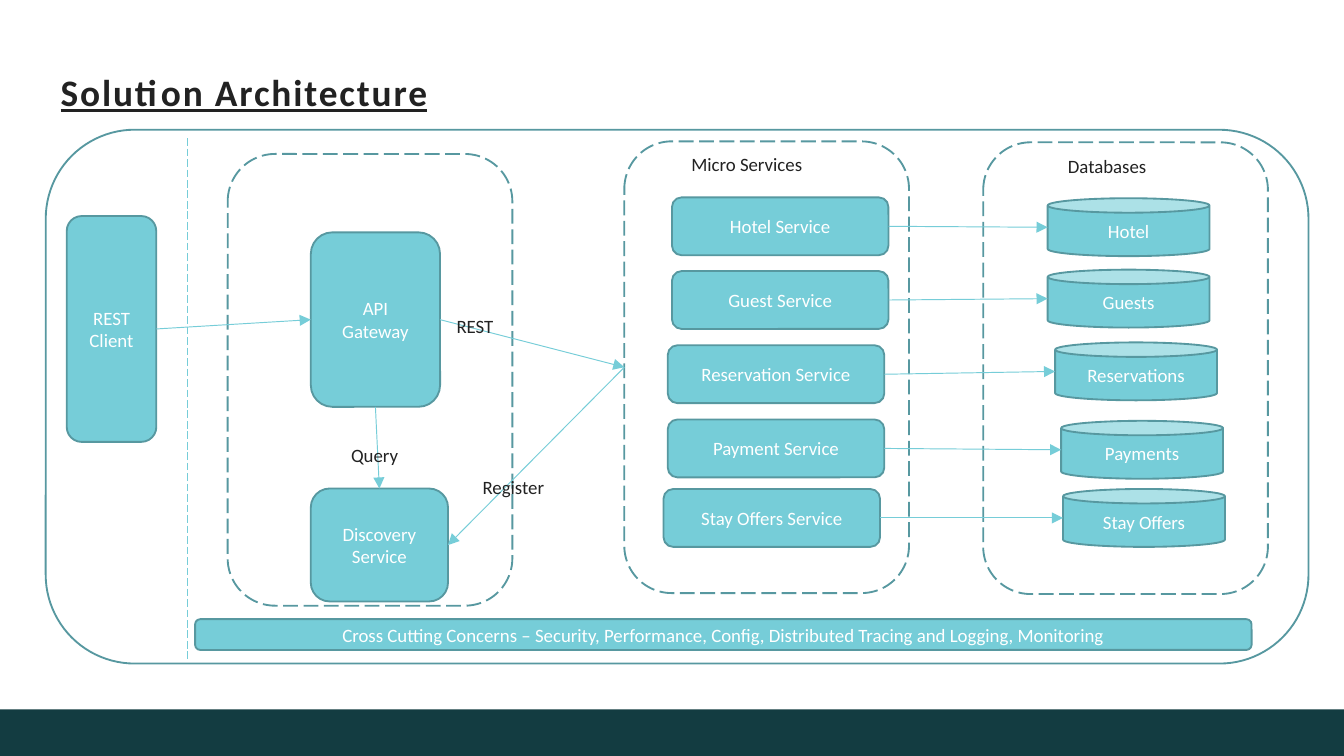
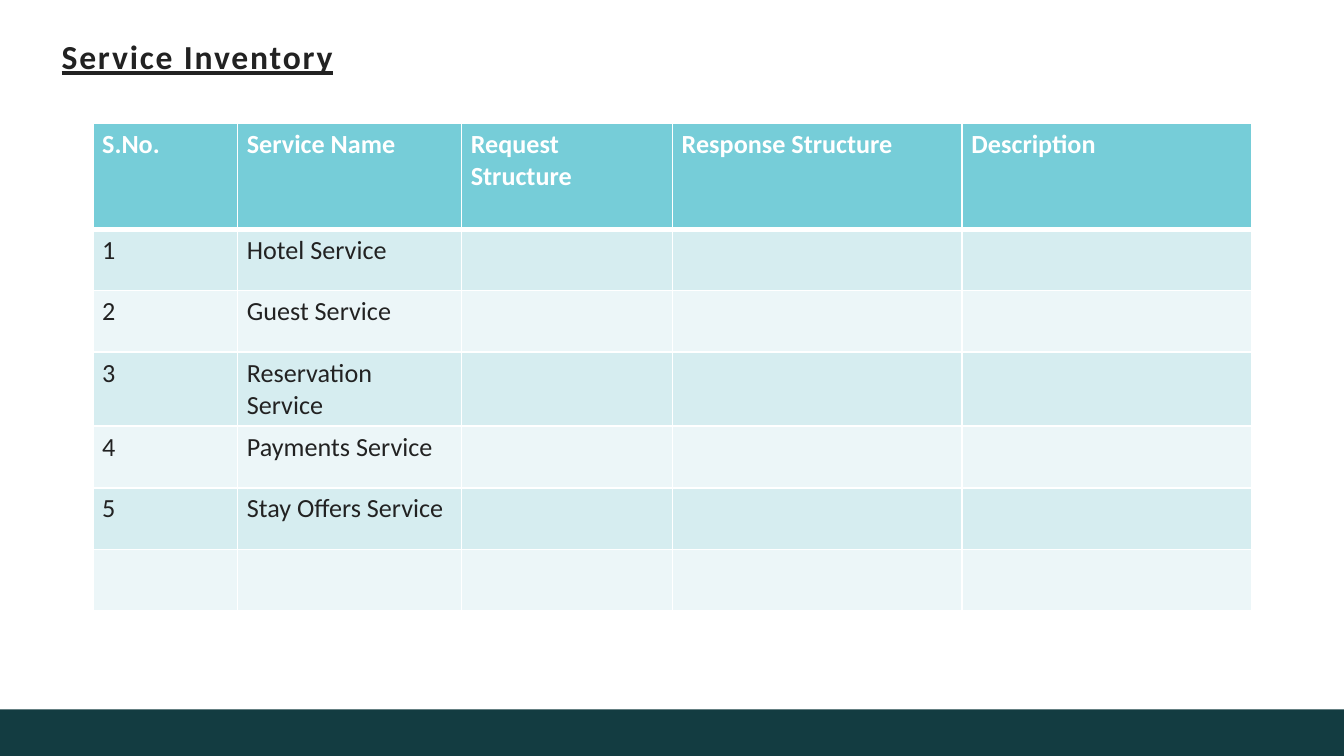
"""Build two slides on a hotel booking system: its architecture and its services."""
from lxml import etree
from pptx import Presentation
from pptx.dml.color import RGBColor
from pptx.enum import dml, shapes, text
from pptx.oxml import ns
from pptx.util import Pt

FONT = "Calibri"
COLOURS = {
    "ink": "222222", "white": "FFFFFF", "teal": "76CDD8", "edge": "5798A0",
    "band": "133C41", "odd": "D6EDF0", "even": "ECF6F8",
}
SLIDE_SIZE = (720, 405)
BAND = (0, 380, 720, 25)
DIAGRAM_SIZE = 10.1

ARCHITECTURE = ("Solution Architecture", 20, (27.5, 10, 620.5, 78.5))
SYSTEM = (24.5, 69.5, 676.5, 286)
FRAME_SIZE = (152.5, 242)
FRAMES = [(122, 82.5), (334.5, 75.75), (526.75, 76.25)]
NODES = {
    "REST Client": (35.75, 115.75, 48, 121),
    "API Gateway": (166.5, 124.5, 69.25, 93.5),
    "Discovery Service": (166.5, 261.75, 73.5, 60.5),
}
CONCERNS = ("Cross Cutting Concerns – Security, Performance, Config, "
            "Distributed Tracing and Logging, Monitoring")
CONCERNS_BOX = (104.5, 331.75, 566, 16.5)
SERVICE_SIZE = (116, 31)
DATABASE_SIZE = (86.75, 31)
SERVICES = [
    ("Hotel Service", (360, 105.75), "Hotel", (561.25, 106.25)),
    ("Guest Service", (360, 145.25), "Guests", (561.25, 144.5)),
    ("Reservation Service", (357.75, 185), "Reservations", (565.25, 183.5)),
    ("Payment Service", (357.75, 224.75), "Payments", (568.5, 225.5)),
    ("Stay Offers Service", (355.5, 262), "Stay Offers", (569.5, 262)),
]
DIVIDER = ((100.5, 74), (100.5, 353.5))
LABELS = [
    ("Register", (251.5, 251.5, 67, 19.5)),
    ("Query", (181, 234.25, 45.5, 19.5)),
    ("Micro Services", (363.25, 78.5, 101.5, 19.5)),
    ("Databases", (565, 79.5, 81.5, 19.5)),
    ("REST", (237.5, 165.25, 45.5, 19.5)),
]

INVENTORY = ("Service Inventory", 18, (28, 18, 664, 24))
TABLE_TOP_LEFT = (49.75, 66.25)
COLUMNS = [("S.No.", 77.5), ("Service Name", 120), ("Request Structure", 113),
           ("Response Structure", 155.25), ("Description", 155.25)]
INVENTORY_NAMES = ["Hotel Service", "Guest Service", "Reservation Service",
                   "Payments Service", "Stay Offers Service", ""]
HEADER_HEIGHT, ROW_HEIGHT, TABLE_TEXT = 56.5, 33, 14


def colour(name):
    return RGBColor.from_string(COLOURS[name])


def points(values):
    return [Pt(value) for value in values]


def write(frame, words, size, ink, bold=False, align=text.PP_ALIGN.LEFT):
    paragraph = frame.paragraphs[0]
    paragraph.alignment = align
    run = paragraph.add_run()
    run.text = words
    font = run.font
    font.name, font.size, font.bold = FONT, Pt(size), bold
    font.color.rgb = colour(ink)
    return run


def add_box(slide, preset, box, fill=None, edge=None, words="", dashed=False):
    part = slide.shapes.add_shape(preset, *points(box))
    part.shadow.inherit = False
    if fill:
        part.fill.solid()
        part.fill.fore_color.rgb = colour(fill)
    else:
        part.fill.background()
    if edge:
        part.line.color.rgb = colour(edge)
        part.line.width = Pt(1)
    else:
        part.line.fill.background()
    if dashed:
        part.line.dash_style = dml.MSO_LINE.LONG_DASH
    if words:
        part.text_frame.vertical_anchor = text.MSO_ANCHOR.MIDDLE
        write(part.text_frame, words, DIAGRAM_SIZE, "white", align=text.PP_ALIGN.CENTER)
    return part


def add_node(slide, words, box, preset=shapes.MSO_SHAPE.ROUNDED_RECTANGLE):
    return add_box(slide, preset, box, "teal", "edge", words)


def add_label(slide, words, box):
    label = slide.shapes.add_textbox(*points(box)).text_frame
    label.word_wrap = True
    label.auto_size = text.MSO_AUTO_SIZE.SHAPE_TO_FIT_TEXT
    write(label, words, DIAGRAM_SIZE, "ink")


def add_line(slide, start, end):
    line = slide.shapes.add_connector(shapes.MSO_CONNECTOR.STRAIGHT, *start, *end)
    line.line.color.rgb = colour("teal")
    line.line.width = Pt(0.5)
    etree.SubElement(line.element.spPr, ns.qn("a:effectLst"))
    return line


def side(part, name):
    across, down = {"left": (0, 0.5), "right": (1, 0.5),
                    "top": (0.5, 0), "bottom": (0.5, 1)}[name]
    return int(part.left + part.width * across), int(part.top + part.height * down)


def add_arrow(slide, source, source_side, target, target_side):
    arrow = add_line(slide, side(source, source_side), side(target, target_side))
    etree.SubElement(arrow.get_or_add_ln(), ns.qn("a:tailEnd"), type="triangle")


def add_slide(deck, words, size, box):
    slide = deck.slides.add_slide(deck.slide_layouts[5])
    add_box(slide, shapes.MSO_SHAPE.RECTANGLE, BAND, "band")
    title = slide.shapes.title
    title.left, title.top, title.width, title.height = points(box)
    frame = title.text_frame
    frame.margin_left = frame.margin_right = Pt(5)
    frame.margin_top = frame.margin_bottom = Pt(2.75)
    frame.vertical_anchor = text.MSO_ANCHOR.MIDDLE
    frame.word_wrap = True
    run = write(frame, words, size, "ink", bold=True)
    run.font.underline = True
    run.font._element.set("spc", "100")
    return slide


def build_architecture(deck):
    slide = add_slide(deck, *ARCHITECTURE)
    rounded = shapes.MSO_SHAPE.ROUNDED_RECTANGLE
    add_box(slide, rounded, SYSTEM, edge="edge")
    _, services_frame, _ = [
        add_box(slide, rounded, corner + FRAME_SIZE, edge="edge", dashed=True)
        for corner in FRAMES]
    client, gateway, discovery = [
        add_node(slide, words, box) for words, box in NODES.items()]
    add_node(slide, CONCERNS, CONCERNS_BOX)
    for service, service_at, database, database_at in SERVICES:
        source = add_node(slide, service, service_at + SERVICE_SIZE)
        store = add_node(slide, database, database_at + DATABASE_SIZE, shapes.MSO_SHAPE.CAN)
        add_arrow(slide, source, "right", store, "left")
    add_arrow(slide, client, "right", gateway, "left")
    add_arrow(slide, gateway, "right", services_frame, "left")
    add_arrow(slide, services_frame, "left", discovery, "right")
    add_arrow(slide, gateway, "bottom", discovery, "top")
    divider = add_line(slide, *map(points, DIVIDER))
    divider.line.dash_style = dml.MSO_LINE.LONG_DASH
    for words, box in LABELS:
        add_label(slide, words, box)


def set_borders(cell, widths):
    properties = cell._tc.get_or_add_tcPr()
    for index, (edge, width) in enumerate(widths.items()):
        border = etree.Element(ns.qn("a:" + edge), w=str(Pt(width)))
        fill = etree.SubElement(border, ns.qn("a:solidFill"))
        etree.SubElement(fill, ns.qn("a:srgbClr"), val=COLOURS["white"])
        properties.insert(index, border)


def build_inventory(deck):
    slide = add_slide(deck, *INVENTORY)
    rows = [[heading for heading, _ in COLUMNS]]
    for number, name in enumerate(INVENTORY_NAMES, 1):
        rows.append([str(number) if name else "", name, "", "", ""])
    widths = [width for _, width in COLUMNS]
    heights = [HEADER_HEIGHT] + [ROW_HEIGHT] * len(INVENTORY_NAMES)
    table = slide.shapes.add_table(
        len(rows), len(widths), *points(TABLE_TOP_LEFT + (sum(widths), sum(heights)))).table
    for column, width in zip(table.columns, widths):
        column.width = Pt(width)
    for r, (row, height) in enumerate(zip(rows, heights)):
        table.rows[r].height = Pt(height)
        header = r == 0
        for c, words in enumerate(row):
            cell = table.cell(r, c)
            cell.margin_left = cell.margin_right = Pt(5)
            cell.margin_top = cell.margin_bottom = Pt(2.75)
            cell.fill.solid()
            cell.fill.fore_color.rgb = colour("teal" if header else "odd" if r % 2 else "even")
            set_borders(cell, {"lnL": 1, "lnR": 1, "lnT": 3 if r == 1 else 1,
                               "lnB": 3 if header else 1})
            if words:
                write(cell.text_frame, words, TABLE_TEXT, "white" if header else "ink", header)


def main():
    deck = Presentation()
    deck.slide_width, deck.slide_height = points(SLIDE_SIZE)
    build_architecture(deck)
    build_inventory(deck)
    deck.save("out.pptx")


if __name__ == "__main__":
    main()
